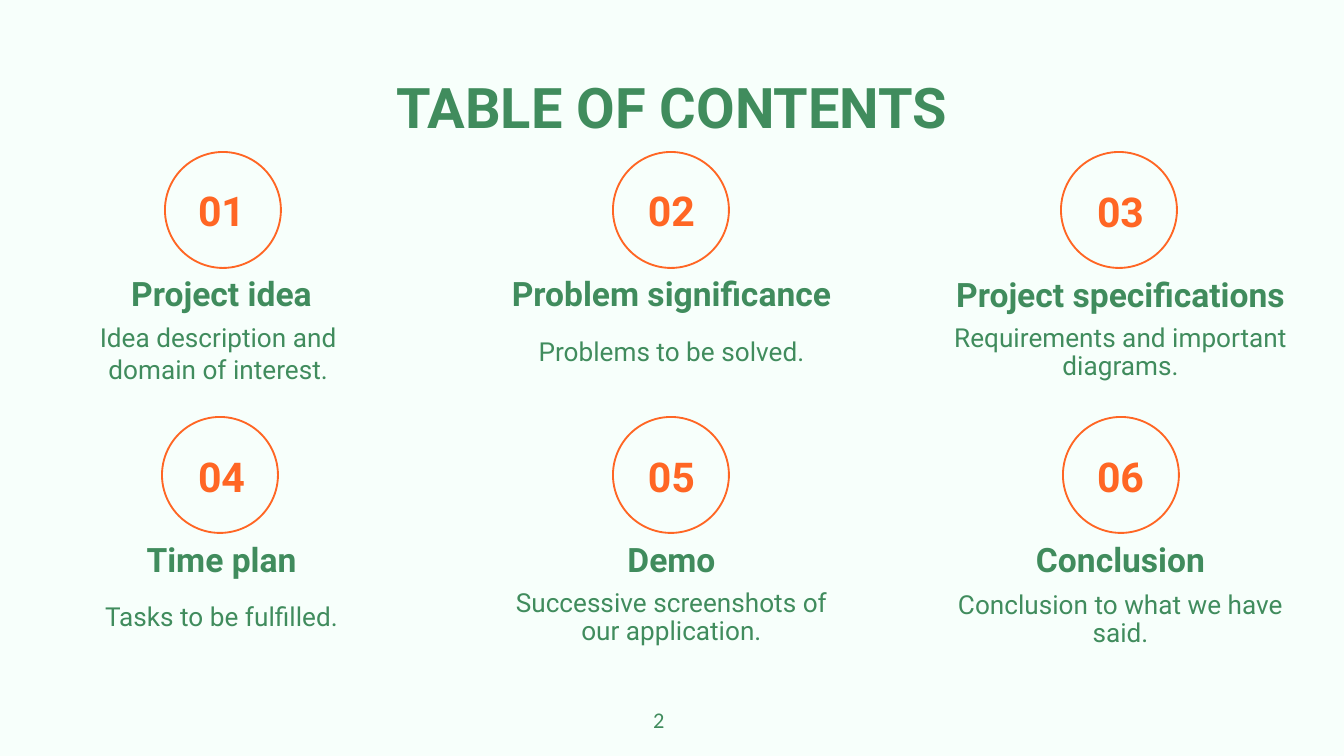
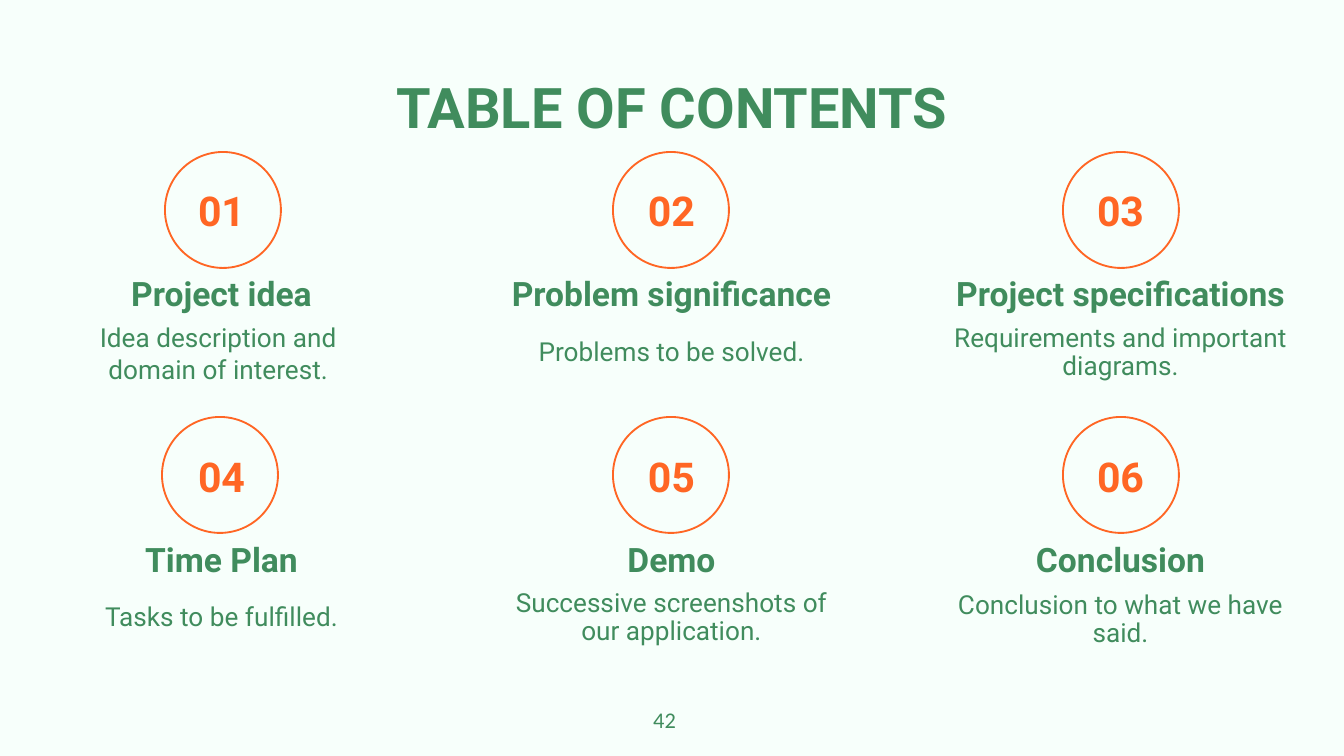
from dataclasses import dataclass

from pptx import Presentation
from pptx.dml.color import RGBColor
from pptx.enum.shapes import MSO_SHAPE as Shape
from pptx.enum.text import MSO_ANCHOR as Anchor, PP_ALIGN as Align
from pptx.util import Pt

TITLE = "TABLE OF CONTENTS"
TOPICS = [
    {"heading": "Project idea", "lines": ["Idea description and ", "domain of interest. "], "spacing": 1.0},
    {"heading": "Problem significance", "lines": ["Problems to be solved."]},
    {"heading": "Project specifications", "lines": ["Requirements and important diagrams."]},
    {"heading": "Time plan", "lines": ["Tasks to be fulfilled."], "circle_shift": -3},
    {"heading": "Demo", "lines": ["Successive screenshots of our application."]},
    {"heading": "Conclusion", "lines": ["Conclusion to what we have said."], "lines_drop": 2},
]
PAGES = [
    {"number": "2", "changes": {3: {"circle_shift": -2, "heading_drop": 1, "number_drop": 1}}},
    {"number": "42", "changes": {4: {"heading": "Time Plan"}}},
]


@dataclass(frozen=True)
class Theme:
    paper: RGBColor = RGBColor.from_string("F7FFFB")
    green: RGBColor = RGBColor.from_string("408C5D")
    orange: RGBColor = RGBColor.from_string("FF6624")
    font: str = "Roboto"
    page_font: str = "Calibri"
    title_size: int = 30
    number_size: int = 22
    heading_size: int = 18
    body_size: int = 14
    page_size: int = 12


THEME = Theme()
STYLES = {
    "title": {"name": THEME.font, "size": Pt(THEME.title_size), "bold": True, "color": THEME.green},
    "number": {"name": THEME.font, "size": Pt(THEME.number_size), "bold": True, "color": THEME.orange},
    "heading": {"name": THEME.font, "size": Pt(THEME.heading_size), "bold": True, "color": THEME.green},
    "body": {"name": THEME.font, "size": Pt(THEME.body_size), "bold": False, "color": THEME.green},
    "page": {"name": THEME.page_font, "size": Pt(THEME.page_size), "bold": False, "color": THEME.green},
}

PX_PER_INCH = 134.4
SLIDE_SIZE = (1344, 756)
TITLE_BOX = (106, 81, 1132, 58)
PAGE_BOX = (640, 700, 63, 40)
COLUMNS = 3
COLUMN_LEFTS = (34, 484, 933)
CIRCLE_LEFTS = (165, 613, 1063)
BOX_WIDTH, BOX_HEIGHT = 375, 58
CIRCLE_SIZE = 116
CIRCLE_TOP, NUMBER_TOP, HEADING_TOP, LINES_TOP = 152, 184, 267, 324
ROW_STEP = 265


def emu(px):
    return round(px * 914400 / PX_PER_INCH)


def add_text(slide, box, lines, style, align=Align.CENTER, anchor=Anchor.MIDDLE, spacing=0.9):
    frame = slide.shapes.add_textbox(*map(emu, box)).text_frame
    frame.word_wrap = True
    frame.vertical_anchor = anchor
    for index, line in enumerate(lines):
        paragraph = frame.paragraphs[0] if index == 0 else frame.add_paragraph()
        paragraph.alignment = align
        paragraph.line_spacing = spacing
        run = paragraph.add_run()
        run.text = line
        for key, value in STYLES[style].items():
            if key == "color":
                run.font.color.rgb = value
            else:
                setattr(run.font, key, value)


def add_circle(slide, left, top):
    shape = slide.shapes.add_shape(Shape.OVAL, *map(emu, (left, top, CIRCLE_SIZE, CIRCLE_SIZE)))
    shape.shadow.inherit = False
    shape.fill.solid()
    shape.fill.fore_color.rgb = THEME.paper
    shape.line.color.rgb = THEME.orange
    shape.line.width = Pt(1)


def add_topic(slide, index, topic):
    row, column = divmod(index, COLUMNS)
    drop = row * ROW_STEP
    add_circle(slide, CIRCLE_LEFTS[column] + topic.get("circle_shift", 0), CIRCLE_TOP + drop)
    parts = [
        ("number", NUMBER_TOP + row + topic.get("number_drop", 0), [f"{index + 1:02}"], 0.9),
        ("heading", HEADING_TOP + row + topic.get("heading_drop", 0), [topic["heading"]], 0.9),
        ("body", LINES_TOP + topic.get("lines_drop", 0), topic["lines"], topic.get("spacing", 0.9)),
    ]
    for style, top, lines, spacing in parts:
        box = (COLUMN_LEFTS[column], top + drop, BOX_WIDTH, BOX_HEIGHT)
        add_text(slide, box, lines, style, spacing=spacing)


def add_contents_slide(presentation, page):
    slide = presentation.slides.add_slide(presentation.slide_layouts[6])
    slide.background.fill.solid()
    slide.background.fill.fore_color.rgb = THEME.paper
    add_text(slide, PAGE_BOX, [page["number"]], "page", Align.LEFT, Anchor.TOP, 1.0)
    add_text(slide, TITLE_BOX, [TITLE], "title")
    for index, topic in enumerate(TOPICS):
        add_topic(slide, index, topic | page["changes"].get(index + 1, {}))


def main():
    presentation = Presentation()
    presentation.slide_width, presentation.slide_height = map(emu, SLIDE_SIZE)
    for page in PAGES:
        add_contents_slide(presentation, page)
    presentation.save("out.pptx")


if __name__ == "__main__":
    main()
